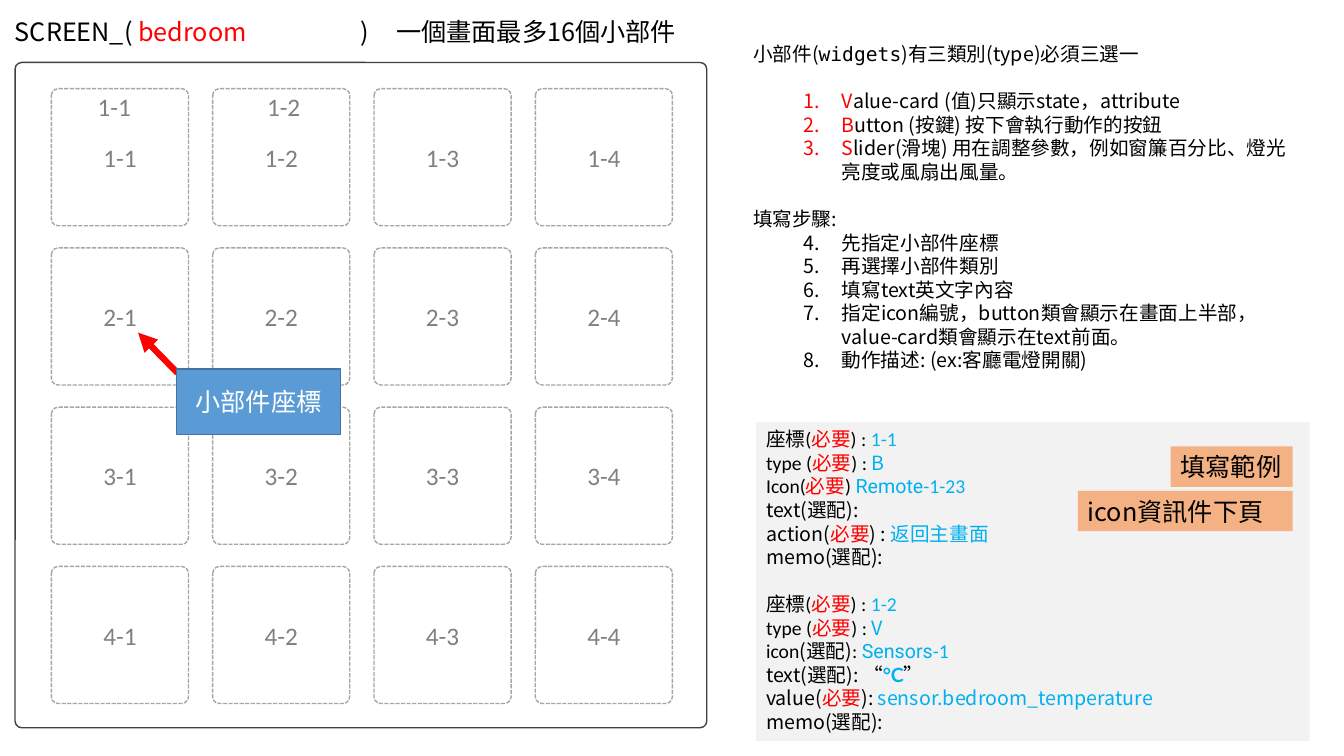
from lxml import etree
from pptx import Presentation, util as u
from pptx.dml.color import RGBColor
from pptx.enum import dml, shapes, text
from pptx.oxml.ns import qn

CJK, CALIBRI, ROBOTO, LATO, MONO = (
    "Noto Sans CJK SC", "Calibri", "Roboto", "Lato", "DejaVu Sans Mono")
BLACK, WHITE, GREY, RED, BLUE = "000000", "FFFFFF", "808080", "FF0000", "00B0F0"
LINE_HEIGHT = 1.2
ANCHORS = {"top": text.MSO_ANCHOR.TOP, "middle": text.MSO_ANCHOR.MIDDLE}


def color(value):
    return RGBColor.from_string(value)


def add_child(parent, tag, **attributes):
    return etree.SubElement(parent, qn(tag), attributes)


class SlideBuilder:
    def __init__(self, slide):
        self.slide = slide

    def box(self, at, preset="RECTANGLE", fill=None, line=None, radius=None, dash=None):
        kind = getattr(shapes.MSO_SHAPE, preset)
        shape = self.slide.shapes.add_shape(kind, *map(u.Inches, at))
        shape.shadow.inherit = False
        if radius is not None:
            shape.adjustments[0] = radius
        if fill:
            shape.fill.solid()
            shape.fill.fore_color.rgb = color(fill)
        else:
            shape.fill.background()
        if line:
            shape.line.color.rgb = color(line)
            shape.line.width = u.Pt(1)
            shape.line.dash_style = dash
        else:
            shape.line.fill.background()
        return shape

    def text_box(self, at, paragraphs, **style):
        shape = self.slide.shapes.add_textbox(*map(u.Inches, at))
        self.put_text(shape, paragraphs, **style)

    def put_text(self, shape, paragraphs, size=18, fill=BLACK, font=CJK,
                 align="LEFT", anchor="top", wrap=True):
        """Each paragraph is a dict: runs of (text, color, font), with optional gap, number, tab."""
        frame = shape.text_frame
        frame.word_wrap = wrap
        frame.vertical_anchor = ANCHORS[anchor]
        for index, content in enumerate(paragraphs):
            paragraph = frame.paragraphs[0] if index == 0 else frame.add_paragraph()
            layout = {
                "alignment": getattr(text.PP_ALIGN, align),
                "line_spacing": u.Pt(size * LINE_HEIGHT),
                "space_before": u.Pt(size * LINE_HEIGHT * content.get("gap", 0)),
            }
            for name, value in layout.items():
                setattr(paragraph, name, value)
            properties = paragraph._p.get_or_add_pPr()
            if "number" in content:
                paragraph.level = 1
                properties.set("marL", str(u.Inches(0.88)))
                properties.set("indent", str(u.Inches(-0.38)))
                add_child(properties, "a:buFont", typeface="+mj-lt")
                add_child(properties, "a:buAutoNum", type="arabicPeriod",
                          startAt=str(content["number"]))
            if "tab" in content:
                tabs = add_child(properties, "a:tabLst")
                add_child(tabs, "a:tab", pos=str(u.Inches(content["tab"])), algn="l")
            for words, run_fill, run_font in content["runs"]:
                run = paragraph.add_run()
                run.text = words
                run_font = run_font or font
                values = {"name": run_font, "size": u.Pt(size), "bold": run_font == LATO}
                for name, value in values.items():
                    setattr(run.font, name, value)
                run.font.color.rgb = color(run_fill or fill)
                run_properties = run._r.get_or_add_rPr()
                add_child(run_properties, "a:ea", typeface=CJK)

    def arrow(self, start, end, fill, width):
        connector = self.slide.shapes.add_connector(
            shapes.MSO_CONNECTOR.STRAIGHT, *map(u.Inches, start + end))
        connector.line.color.rgb = color(fill)
        connector.line.width = u.Pt(width)
        properties = connector._element.spPr
        add_child(properties.find(qn("a:ln")), "a:tailEnd", type="triangle")
        add_child(properties, "a:effectLst")


def piece(words, fill=None, font=None):
    return words, fill, font


def line(*pieces, **layout):
    """A paragraph; a bare string is a run in the default style."""
    return {"runs": [piece(p) if isinstance(p, str) else p for p in pieces], **layout}


def field(name, ending, *values, font=CALIBRI, **layout):
    """A required field of the example form."""
    return line(piece(name, font=font), piece("必要", RED, font), piece(ending, font=font),
                *values, **layout)


def draw_screen(builder):
    builder.box((0.15, 0.62, 6.86, 6.6), "ROUNDED_RECTANGLE", line="404040", radius=0.01)
    for row in range(4):
        for column in range(4):
            cell = builder.box((0.51 + 1.6 * column, 0.88 + 1.58 * row, 1.36, 1.36),
                               "ROUNDED_RECTANGLE", line="A6A6A6", radius=0.05,
                               dash=dml.MSO_LINE.SQUARE_DOT)
            builder.put_text(cell, [line(f"{row + 1}-{column + 1}")], fill=GREY,
                             font=CALIBRI, align="CENTER", anchor="middle")


def draw_instructions(builder):
    kinds = [("V", "alue-card (值)只顯示state，attribute"),
             ("B", "utton (按鍵) 按下會執行動作的按鈕"),
             ("S", "lider(滑塊) 用在調整參數，例如窗簾百分比、燈光亮度或風扇出風量。")]
    steps = ["先指定小部件座標", "再選擇小部件類別", "填寫text英文字內容",
             "指定icon編號，button類會顯示在畫面上半部， value-card類會顯示在text前面。",
             "動作描述: (ex:客廳電燈開關)"]
    paragraphs = [line("小部件(", piece("widgets", font=MONO), ")有三類別(type)必須三選一")]
    paragraphs += [line(piece(initial, RED), rest, number=1, gap=int(initial == "V"))
                   for initial, rest in kinds]
    paragraphs.append(line("填寫步驟:", gap=1))
    paragraphs += [line(step, number=4) for step in steps]
    builder.text_box((7.37, 0.37, 5.62, 3.64), paragraphs, size=14)


def draw_example(builder):
    memo = line("memo(選配):")
    form = builder.box((7.5, 4.19, 5.49, 3.16), fill="F2F2F2")
    builder.put_text(form, [
        field("座標(", ") : ", piece("1-1", BLUE, CALIBRI)),
        field("type (", ") : ", piece("B", BLUE)),
        field("Icon(", ") ", piece("Remote", BLUE, ROBOTO), piece("-1-23", BLUE, CALIBRI)),
        line("text(選配):"),
        field("action(", ") : ", piece("返回主畫面", BLUE), font=CJK),
        memo,
        field("座標(", ") : ", piece("1-2", BLUE, CALIBRI), gap=1),
        field("type (", ") : ", piece("V", BLUE)),
        line(piece("icon", font=CALIBRI), "(選配)", piece(": ", font=CALIBRI),
             piece("Sensors", BLUE, ROBOTO), piece("-1", BLUE, CALIBRI)),
        line("text(選配): “", piece("°C", BLUE, LATO), "”"),
        field("value(", "): ", piece("sensor.bedroom_temperature", BLUE), font=CJK),
        memo,
    ], size=14)


def main():
    presentation = Presentation()
    presentation.slide_width = u.Inches(13.33)
    presentation.slide_height = u.Inches(7.5)
    builder = SlideBuilder(presentation.slides.add_slide(presentation.slide_layouts[6]))

    draw_screen(builder)
    builder.text_box((0.05, 0.11, 4.12, 0.4),
                     [line("SCREEN_( ", piece("bedroom", RED), "\t)", tab=3.43)])
    draw_instructions(builder)

    builder.arrow((1.76, 3.7), (1.37, 3.3), RED, 4.5)
    label = builder.box((1.75, 3.66, 1.63, 0.65), fill="5B9BD5", line="43739E")
    builder.put_text(label, [line("小部件座標")], fill=WHITE, align="CENTER", anchor="middle")

    draw_example(builder)
    for at, words in [((11.61, 4.43, 1.21, 0.4), "填寫範例"),
                      ((10.69, 4.87, 2.13, 0.4), "icon資訊件下頁")]:
        builder.put_text(builder.box(at, fill="F4B183"), [line(words)])
    for left, words in [(0.87, "1-1"), (2.55, "1-2")]:
        builder.text_box((left, 0.86, 0.59, 0.4), [line(words)], fill=GREY, font=CALIBRI)
    builder.text_box((3.83, 0.11, 3.18, 0.4), [line("一個畫面最多16個小部件")])

    presentation.save("out.pptx")


if __name__ == "__main__":
    main()
